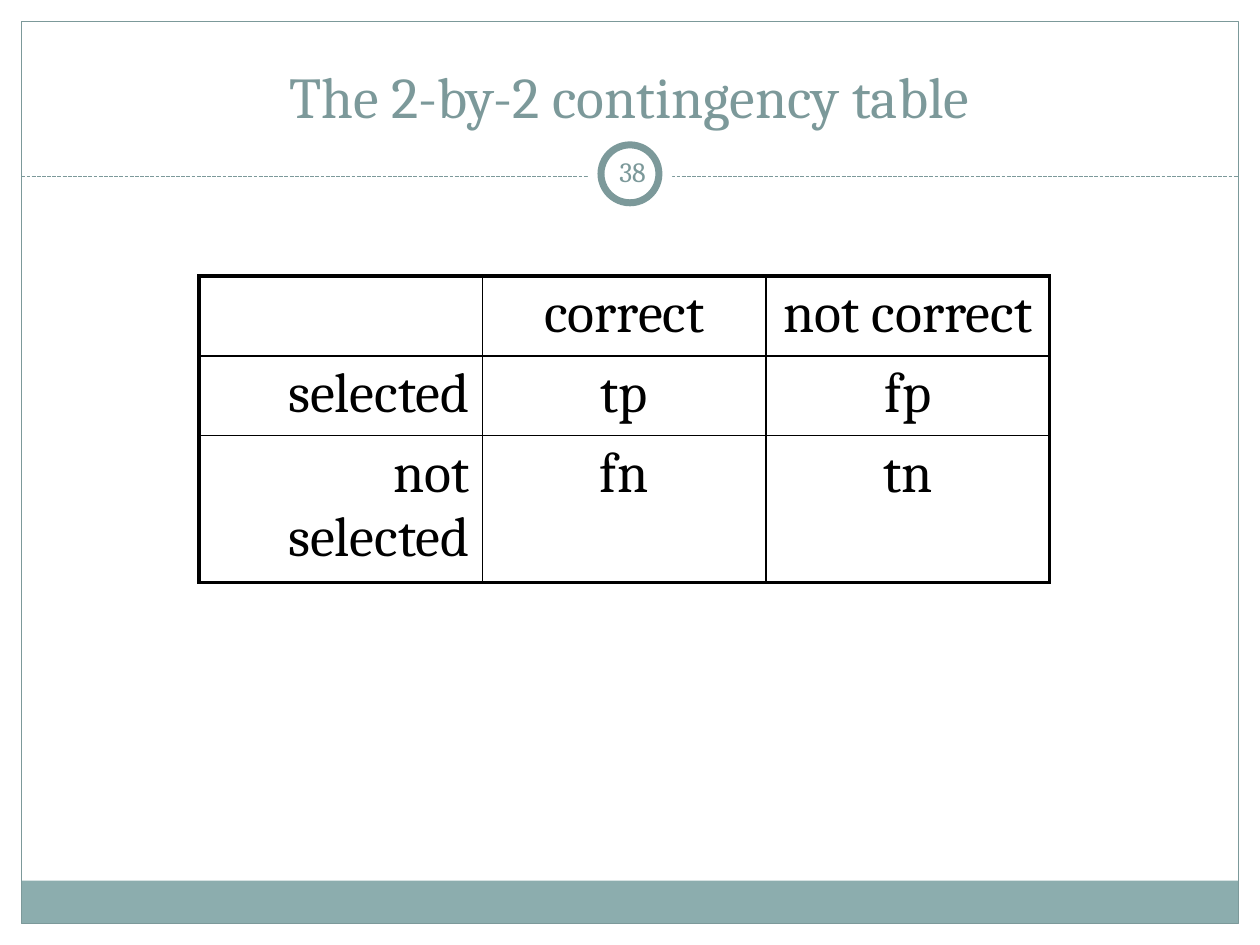
from lxml.etree import SubElement
from pptx import Presentation
from pptx.dml.color import RGBColor
from pptx.enum.dml import MSO_LINE
from pptx.enum.shapes import MSO_CONNECTOR, MSO_SHAPE
from pptx.enum.text import MSO_ANCHOR, PP_ALIGN
from pptx.oxml.ns import qn
from pptx.util import Inches, Pt

WHITE = RGBColor(0xFF, 0xFF, 0xFF)
BLACK = RGBColor(0, 0, 0)
TEAL = RGBColor(0x7C, 0x99, 0x9A)
BAND = RGBColor(0x8C, 0xAD, 0xAE)
FONT = "Cambria"

WIDTH, HEIGHT = 10, 7.5
MARGIN = 0.17
RULE_Y = 1.4
COL_W, ROW_H = 2.25, 0.63
THICK, THIN = 2.25, 1

ROWS = [
    ["", "correct", "not correct"],
    ["selected", "tp", "fp"],
    ["not selected", "fn", "tn"],
]


def add_block(s, kind, box, fill=None, line=None, weight=0.75):
    sp = s.shapes.add_shape(kind, *map(Inches, box))
    sp.shadow.inherit = False
    if fill is None:
        sp.fill.background()
    else:
        sp.fill.solid()
        sp.fill.fore_color.rgb = fill
    if line is None:
        sp.line.fill.background()
    else:
        sp.line.color.rgb = line
        sp.line.width = Pt(weight)


def add_disc(s, size, y, **style):
    add_block(s, MSO_SHAPE.OVAL, ((WIDTH - size) / 2, y, size, size), **style)


def add_dashed_rule(s):
    line = s.shapes.add_connector(
        MSO_CONNECTOR.STRAIGHT, Inches(MARGIN), Inches(RULE_Y),
        Inches(WIDTH - MARGIN), Inches(RULE_Y))
    line.line.color.rgb = TEAL
    line.line.width = Pt(0.75)
    line.line.dash_style = MSO_LINE.SQUARE_DOT
    SubElement(line._element.spPr, qn("a:effectLst"))


def write(tf, text, size, color, align=PP_ALIGN.CENTER):
    p = tf.paragraphs[0]
    p.text = text
    p.alignment = align
    for font in (p.font, *(r.font for r in p.runs)):
        font.name = FONT
        font.size = Pt(size)
        font.color.rgb = color


def add_text(s, box, text, size, anchor, inset):
    tf = s.shapes.add_textbox(*map(Inches, box)).text_frame
    tf.word_wrap = True
    tf.vertical_anchor = anchor
    tf.margin_left = tf.margin_right = Inches(inset)
    tf.margin_top = tf.margin_bottom = Inches(0.05)
    write(tf, text, size, TEAL)


def set_border(cell, side, weight):
    ln = SubElement(cell._tc.get_or_add_tcPr(), qn(f"a:ln{side}"), w=str(Pt(weight)))
    fill = SubElement(ln, qn("a:solidFill"))
    SubElement(fill, qn("a:srgbClr"), val=str(BLACK))


def add_contingency_table(s, x, y):
    """Draw a grid with thin inner lines and a thick outer frame."""
    n_rows, n_cols = len(ROWS), len(ROWS[0])
    table = s.shapes.add_table(
        n_rows, n_cols, Inches(x), Inches(y),
        Inches(n_cols * COL_W), Inches(n_rows * ROW_H)).table
    table.first_row = table.horz_banding = False
    for i, row in enumerate(ROWS):
        for j, text in enumerate(row):
            cell = table.cell(i, j)
            align = PP_ALIGN.CENTER if j else PP_ALIGN.RIGHT
            write(cell.text_frame, text, 32, BLACK, align)
            outer = {"L": j == 0, "R": j == n_cols - 1,
                     "T": i == 0, "B": i == n_rows - 1}
            for side, is_outer in outer.items():
                set_border(cell, side, THICK if is_outer else THIN)
            cell.fill.background()


def main():
    prs = Presentation()
    prs.slide_width, prs.slide_height = Inches(WIDTH), Inches(HEIGHT)
    s = prs.slides.add_slide(prs.slide_layouts[6])

    inner_w = WIDTH - 2 * MARGIN
    add_block(s, MSO_SHAPE.RECTANGLE, (MARGIN, 6.99, inner_w, 0.34), fill=BAND)
    add_block(s, MSO_SHAPE.RECTANGLE,
              (MARGIN, MARGIN, inner_w, HEIGHT - 2 * MARGIN), line=TEAL)
    add_dashed_rule(s)
    add_disc(s, 0.67, 1.05, fill=WHITE)
    add_disc(s, 0.46, 1.15, fill=WHITE, line=TEAL, weight=4)

    add_text(s, (0.33, 0.25, 9.33, 0.83), "The 2-by-2 contingency table", 33,
             MSO_ANCHOR.BOTTOM, 0.1)
    add_contingency_table(s, 1.58, 2.19)
    add_text(s, (4.77, 1.12, 0.5, 0.48), "38", 16, MSO_ANCHOR.MIDDLE, 0.05)
    prs.save("out.pptx")


if __name__ == "__main__":
    main()
